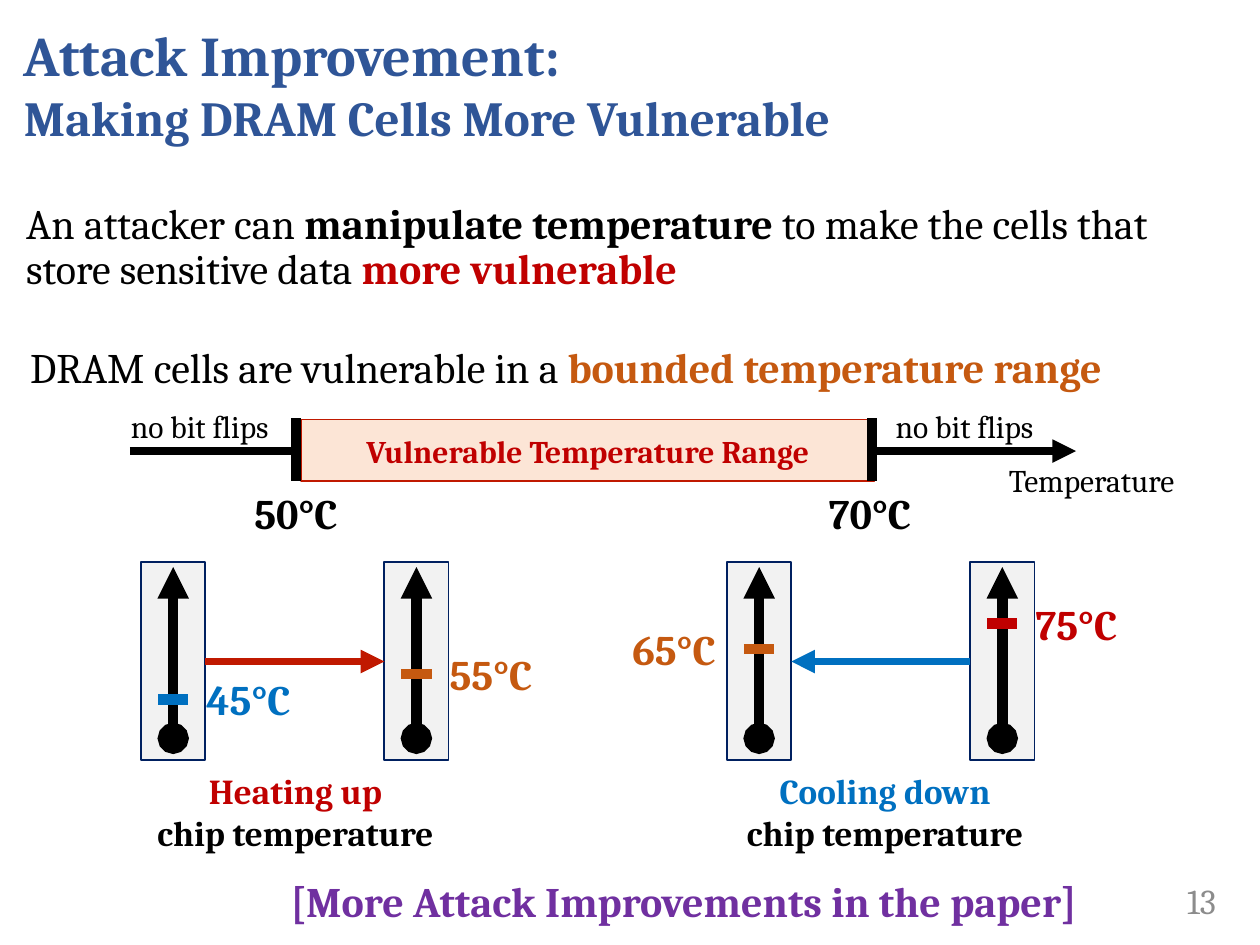
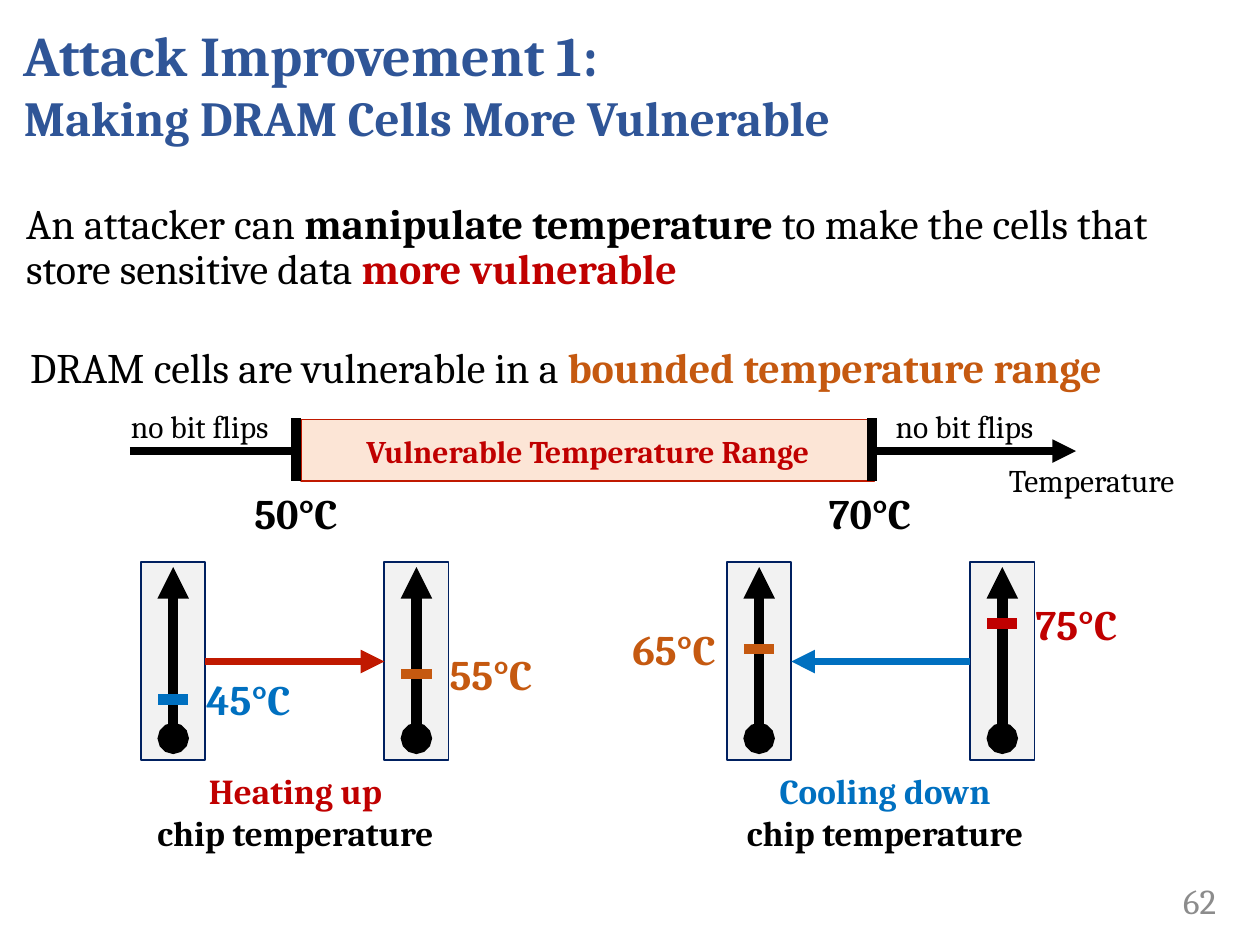
from typing import NamedTuple, Optional

import pptx
import pptx.dml.color
import pptx.enum.shapes
import pptx.enum.text
import pptx.oxml
import pptx.oxml.ns
import pptx.util

Inches = pptx.util.Inches
Pt = pptx.util.Pt
RGBColor = pptx.dml.color.RGBColor
ALIGN = pptx.enum.text.PP_ALIGN
ANCHOR = pptx.enum.text.MSO_ANCHOR
FIT = pptx.enum.text.MSO_AUTO_SIZE

# Shared look
FONT = "Cambria"
BLACK = RGBColor(0x00, 0x00, 0x00)
TITLE_BLUE = RGBColor(0x2F, 0x55, 0x97)
HOT_RED = RGBColor(0xC0, 0x00, 0x00)
HEAT_RED = RGBColor(0xC0, 0x19, 0x00)
WARM_ORANGE = RGBColor(0xC5, 0x59, 0x10)
COLD_BLUE = RGBColor(0x00, 0x70, 0xC0)
CASE_NAVY = RGBColor(0x00, 0x20, 0x60)
CASE_GREY = RGBColor(0xF2, 0xF2, 0xF2)
RANGE_PEACH = RGBColor(0xFC, 0xE5, 0xD6)
NOTE_PURPLE = RGBColor(0x70, 0x30, 0xA0)
PAGE_GREY = RGBColor(0x8C, 0x8C, 0x8C)

# Thermometer geometry, in inches
CASE_TOP, CASE_WIDTH, CASE_HEIGHT = 4.46, 0.51, 1.57
MARK_WIDTH = 0.24
COLDEST, COLDEST_Y, INCHES_PER_DEGREE = 45, 5.55, 0.02
FLOW_Y = 5.25
AXIS_Y = 3.58


class Words(NamedTuple):
    text: str
    size: float
    color: RGBColor = BLACK
    bold: bool = False
    new_line: bool = False


class Box(NamedTuple):
    left: float
    top: float
    width: float
    height: float


class Thermometer(NamedTuple):
    left: float
    degrees: int
    color: RGBColor
    label_shift: float = 0.42


class Change(NamedTuple):
    action: str
    color: RGBColor
    flow_color: RGBColor
    start: Thermometer
    end: Thermometer
    caption_left: float


class Page(NamedTuple):
    number: int
    heading: str
    closing: Optional[str] = None


CHANGES = [
    Change("Heating up", HOT_RED, HEAT_RED,
           Thermometer(1.12, 45, COLD_BLUE), Thermometer(3.05, 55, WARM_ORANGE), 1.12),
    Change("Cooling down", COLD_BLUE, COLD_BLUE,
           Thermometer(7.7, 75, HOT_RED), Thermometer(5.77, 65, WARM_ORANGE, -0.85), 5.8),
]
PAGES = [
    Page(13, "Attack Improvement:", "[More Attack Improvements in the paper]"),
    Page(62, "Attack Improvement 1:"),
]


def place(shape, box: Box) -> None:
    for side, length in box._asdict().items():
        setattr(shape, side, Inches(length))


def write(shape, words: list[Words], align=ALIGN.LEFT, anchor=ANCHOR.TOP,
          wrap: bool = True, fit=FIT.NONE, spacing: float = 1.0) -> None:
    frame = shape.text_frame
    frame_format = {"word_wrap": wrap, "auto_size": fit, "vertical_anchor": anchor}
    for name, value in frame_format.items():
        setattr(frame, name, value)
    paragraph = frame.paragraphs[0]
    paragraph.alignment = align
    paragraph.line_spacing = spacing
    for part in words:
        if part.new_line:
            paragraph.add_line_break()
        run = paragraph.add_run()
        run.text = part.text
        run_format = {"name": FONT, "size": Pt(part.size), "bold": part.bold}
        for name, value in run_format.items():
            setattr(run.font, name, value)
        run.font.color.rgb = part.color


def add_text(slide, box: Box, words: list[Words], **layout) -> None:
    write(slide.shapes.add_textbox(*map(Inches, box)), words, **layout)


def add_label(slide, left: float, top: float, width: float, words: Words) -> None:
    height = 0.5 if words.size > 20 else 0.4
    add_text(slide, Box(left, top, width, height), [words],
             wrap=False, fit=FIT.SHAPE_TO_FIT_TEXT)


def add_rectangle(slide, box: Box, fill: RGBColor, outline: RGBColor):
    shape = slide.shapes.add_shape(pptx.enum.shapes.MSO_SHAPE.RECTANGLE, *map(Inches, box))
    shape.shadow.inherit = False
    shape.fill.solid()
    shape.fill.fore_color.rgb = fill
    shape.line.color.rgb = outline
    shape.line.width = Pt(1)
    return shape


def add_line(slide, start: tuple[float, float], end: tuple[float, float], color: RGBColor,
             width: float = 6, **ends: str) -> None:
    """Draw a straight line; ends maps headEnd and tailEnd, in that order, to a type."""
    line = slide.shapes.add_connector(
        pptx.enum.shapes.MSO_CONNECTOR.STRAIGHT, *map(Inches, start + end))
    line.line.color.rgb = color
    line.line.width = Pt(width)
    stroke = line.line._get_or_add_ln()
    for name, kind in ends.items():
        tip = pptx.oxml.parse_xml(f'<a:{name} {pptx.oxml.ns.nsdecls("a")} type="{kind}"/>')
        stroke.append(tip)
    stroke.getparent().append(
        pptx.oxml.parse_xml(f'<a:effectLst {pptx.oxml.ns.nsdecls("a")}/>'))


def add_thermometer(slide, meter: Thermometer) -> None:
    add_rectangle(slide, Box(meter.left, CASE_TOP, CASE_WIDTH, CASE_HEIGHT),
                  CASE_GREY, CASE_NAVY)
    center = meter.left + CASE_WIDTH / 2
    mark_y = COLDEST_Y - (meter.degrees - COLDEST) * INCHES_PER_DEGREE
    add_line(slide, (center, 5.86), (center, 4.5), BLACK, headEnd="oval", tailEnd="triangle")
    add_line(slide, (center - MARK_WIDTH / 2, mark_y), (center + MARK_WIDTH / 2, mark_y),
             meter.color)
    add_label(slide, meter.left + meter.label_shift, mark_y - 0.25, 0.92,
              Words(f"{meter.degrees}°C", 24, meter.color, True))


def add_change(slide, change: Change) -> None:
    for meter in (change.start, change.end):
        add_thermometer(slide, meter)
    # The flow arrow joins the facing sides of the two cases
    rightward = change.start.left < change.end.left
    start_x = change.start.left + (CASE_WIDTH if rightward else 0)
    end_x = change.end.left + (0 if rightward else CASE_WIDTH)
    add_line(slide, (start_x, FLOW_Y), (end_x, FLOW_Y), change.flow_color, 4.5,
             tailEnd="triangle")
    add_text(slide, Box(change.caption_left, 6.06, 2.45, 0.77),
             [Words(change.action, 20, change.color, True),
              Words("chip temperature", 20, BLACK, True, new_line=True)],
             align=ALIGN.CENTER, fit=FIT.SHAPE_TO_FIT_TEXT)


def add_temperature_axis(slide) -> None:
    add_line(slide, (1.03, AXIS_Y), (8.54, AXIS_Y), BLACK, 4.5, tailEnd="triangle")
    vulnerable_range = add_rectangle(slide, Box(2.39, 3.33, 4.55, 0.49), RANGE_PEACH, HEAT_RED)
    write(vulnerable_range, [Words("Vulnerable Temperature Range", 18, HOT_RED, True)],
          align=ALIGN.CENTER, anchor=ANCHOR.MIDDLE)
    for bound_x, degrees, label_left in ((2.35, 50, 1.92), (6.92, 70, 6.48)):
        add_line(slide, (bound_x, 3.32), (bound_x, 3.82), BLACK)
        add_label(slide, label_left, 3.82, 0.92, Words(f"{degrees}°C", 24, BLACK, True))
    for safe_left in (0.94, 7.01):
        add_label(slide, safe_left, 3.18, 1.35, Words("no bit flips", 18))
    add_label(slide, 7.91, 3.61, 1.6, Words("Temperature", 18))


def add_page(deck, page: Page) -> None:
    slide = deck.slides.add_slide(deck.slide_layouts[5])

    # Title and page number
    place(slide.shapes.title, Box(0.09, 0.24, 9.62, 0.84))
    write(slide.shapes.title,
          [Words(page.heading, 32, TITLE_BLUE, True),
           Words("Making DRAM Cells More Vulnerable", 28, TITLE_BLUE, True, new_line=True)],
          anchor=ANCHOR.MIDDLE)
    add_text(slide, Box(8.67, 6.95, 1.08, 0.4), [Words(str(page.number), 20, PAGE_GREY)],
             align=ALIGN.RIGHT, anchor=ANCHOR.MIDDLE)

    # Statements
    add_text(slide, Box(0.11, 1.56, 9.14, 0.9),
             [Words("An attacker can ", 24),
              Words("manipulate temperature ", 24, BLACK, True),
              Words("to make the cells that store sensitive data ", 24),
              Words("more vulnerable", 24, HOT_RED, True)], spacing=0.9)
    add_text(slide, Box(0.14, 2.71, 9.62, 0.46),
             [Words("DRAM cells are vulnerable in a ", 24),
              Words("bounded temperature range", 24, WARM_ORANGE, True)], spacing=0.9)

    # Diagram
    add_temperature_axis(slide)
    for change in CHANGES:
        add_change(slide, change)

    # Closing remark
    if page.closing:
        add_text(slide, Box(2.1, 6.9, 6.65, 0.5),
                 [Words(page.closing, 24, NOTE_PURPLE, True)],
                 align=ALIGN.CENTER, fit=FIT.SHAPE_TO_FIT_TEXT)


def main() -> None:
    deck = pptx.Presentation()
    deck.slide_width, deck.slide_height = Inches(10), Inches(7.5)
    for page in PAGES:
        add_page(deck, page)
    deck.save("out.pptx")


if __name__ == "__main__":
    main()
